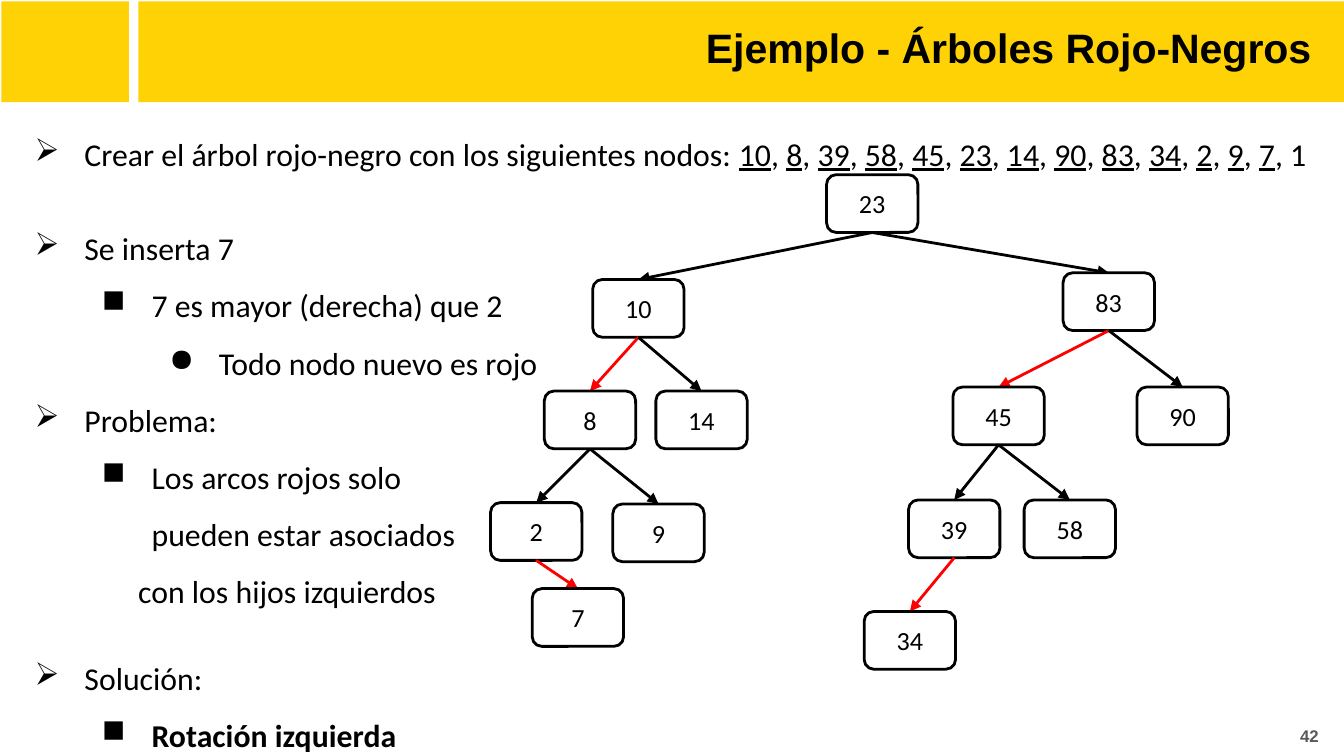
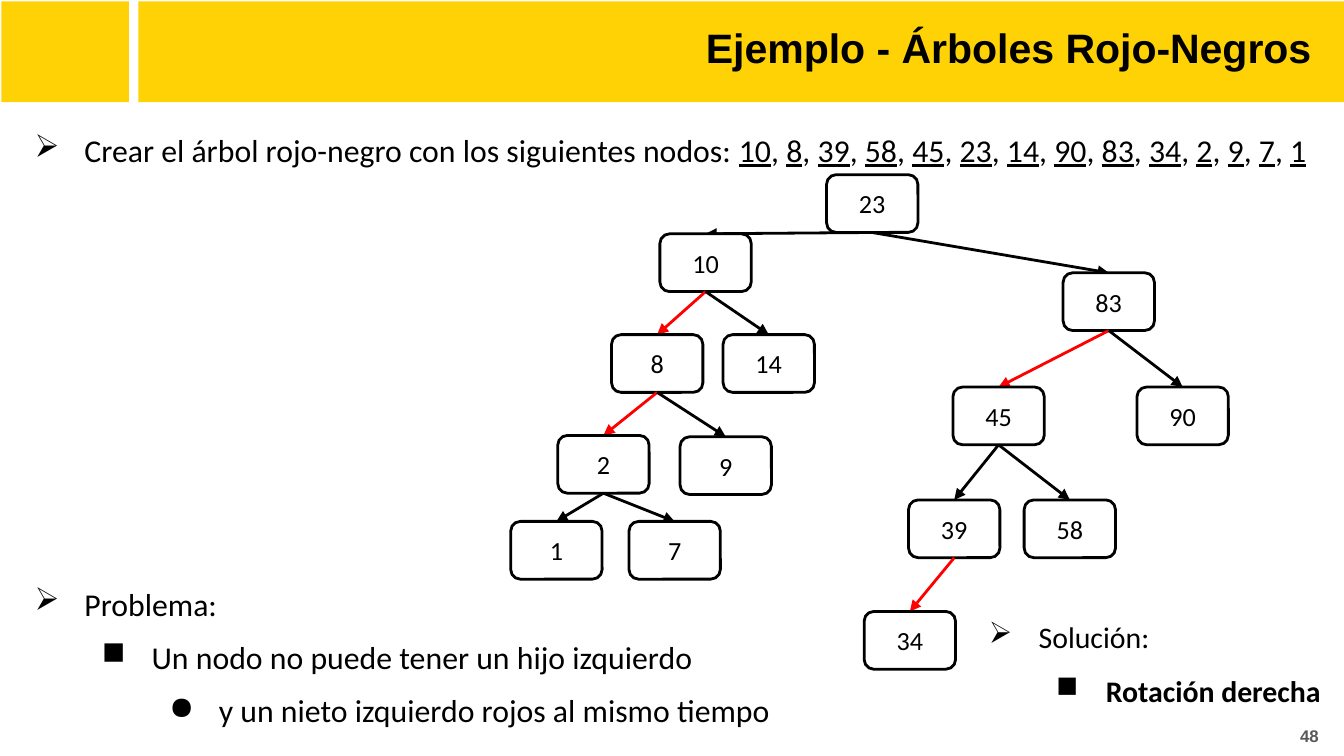
from dataclasses import dataclass

from lxml.etree import SubElement
from pptx import Presentation
from pptx.dml.color import RGBColor
from pptx.enum.shapes import MSO_CONNECTOR, MSO_SHAPE
from pptx.enum.text import MSO_ANCHOR, PP_ALIGN
from pptx.oxml.ns import qn
from pptx.shapes.autoshape import Shape
from pptx.slide import Slide
from pptx.text.text import TextFrame, _Paragraph
from pptx.util import Emu, Pt

# Shared look
EMU_PER_PX = 9144
YELLOW, BLACK, WHITE, RED, GREY = "FED205", "000000", "FFFFFF", "FF0000", "595959"
HEADING_FONT, BODY_FONT = "Arial", "Calibri"
PADDING = 10
NODE_WIDTH, NODE_HEIGHT = 68, 43
HEADING = "Ejemplo - Árboles Rojo-Negros"
STATEMENT = "Crear el árbol rojo-negro con los siguientes nodos: "
KEYS = (10, 8, 39, 58, 45, 23, 14, 90, 83, 34, 2, 9, 7, 1)


@dataclass(frozen=True)
class Box:
    left: int
    top: int
    width: int
    height: int


@dataclass(frozen=True)
class Level:
    depth: int
    margin: int
    indent: int = -37
    bullet: str = ""


@dataclass(frozen=True)
class Item:
    level: Level
    text: str
    bold: bool = False
    before: float = 0


@dataclass(frozen=True)
class Node:
    key: int
    left: int
    top: int
    children: tuple["Node", ...] = ()
    red: bool = False  # colour of the arc that arrives from the parent


@dataclass(frozen=True)
class Step:
    number: int
    inserted: int
    spacing: float
    items: tuple[Item, ...]
    solution: tuple[Item, ...]
    solution_box: Box
    solution_size: int
    root: Node


BANDS = (Box(103, 1, 897, 75), Box(1, 1, 95, 75))
HEADING_BOX = Box(108, 7, 886, 63)
BODY_BOX = Box(3, 76, 997, 486)
NUMBER_BOX = Box(947, 526, 44, 43)

TOPIC = Level(0, 50, bullet="➢")
DETAIL = Level(1, 100, bullet="■")
REMARK = Level(2, 150, bullet="●")
CONTINUED = Level(1, 90, indent=0)


# Helpers
def px(length: int) -> Emu:
    return Emu(length * EMU_PER_PX)


def color(code: str) -> RGBColor:
    return RGBColor.from_string(code)


def place(box: Box) -> tuple[Emu, Emu, Emu, Emu]:
    return px(box.left), px(box.top), px(box.width), px(box.height)


def set_font(paragraph: _Paragraph, name: str, size: int,
             code: str = BLACK, bold: bool = False) -> None:
    font = paragraph.font
    font.name, font.size, font.bold = name, Pt(size), bold
    font.color.rgb = color(code)


def set_frame(frame: TextFrame, anchor: MSO_ANCHOR = MSO_ANCHOR.TOP,
              right: int = PADDING, bottom: int = PADDING) -> None:
    frame.word_wrap = True
    frame.vertical_anchor = anchor
    frame.margin_left = frame.margin_top = px(PADDING)
    frame.margin_right, frame.margin_bottom = px(right), px(bottom)


def add_frame(slide: Slide, box: Box, anchor: MSO_ANCHOR = MSO_ANCHOR.TOP,
              right: int = PADDING, bottom: int = PADDING) -> TextFrame:
    frame = slide.shapes.add_textbox(*place(box)).text_frame
    set_frame(frame, anchor, right, bottom)
    return frame


def add_plain(slide: Slide, kind: MSO_SHAPE, box: Box, fill: str) -> Shape:
    shape = slide.shapes.add_shape(kind, *place(box))
    shape.shadow.inherit = False
    shape.fill.solid()
    shape.fill.fore_color.rgb = color(fill)
    shape.line.fill.background()
    return shape


# Bands, heading and slide number
def draw_common(slide: Slide, number: int) -> None:
    for band in BANDS:
        add_plain(slide, MSO_SHAPE.RECTANGLE, band, YELLOW)

    heading = add_frame(slide, HEADING_BOX, right=18).paragraphs[0]
    heading.text, heading.alignment = HEADING, PP_ALIGN.RIGHT
    set_font(heading, HEADING_FONT, 22, bold=True)

    footer = add_frame(slide, NUMBER_BOX, MSO_ANCHOR.MIDDLE).paragraphs[0]
    footer.text, footer.alignment = str(number), PP_ALIGN.RIGHT
    set_font(footer, HEADING_FONT, 9, GREY, bold=True)


# Bulleted text
def format_item(paragraph: _Paragraph, item: Item, size: int, spacing: float) -> None:
    level = item.level
    paragraph.level = level.depth
    paragraph.line_spacing = spacing
    paragraph.space_before = Pt(item.before)
    properties = paragraph._p.get_or_add_pPr()
    properties.set("marL", str(px(level.margin)))
    properties.set("indent", str(px(level.indent)))
    if level.bullet:
        bullet_color = SubElement(properties, qn("a:buClr"))
        SubElement(bullet_color, qn("a:srgbClr"), val=BLACK)
        SubElement(properties, qn("a:buChar"), char=level.bullet)
    set_font(paragraph, BODY_FONT, size, bold=item.bold)


def write_items(frame: TextFrame, items: tuple[Item, ...], size: int, spacing: float) -> None:
    for index, item in enumerate(items):
        paragraph = frame.add_paragraph() if index else frame.paragraphs[0]
        paragraph.text = item.text
        format_item(paragraph, item, size, spacing)


def underline_inserted(statement: _Paragraph, inserted: int) -> None:
    for index, key in enumerate(KEYS):
        if index:
            statement.add_run().text = ", "
        run = statement.add_run()
        run.text = str(key)
        if index < inserted:
            run.font.underline = True


# Tree
def draw_arc(slide: Slide, parent: Shape, child: Shape, code: str) -> None:
    arc = slide.shapes.add_connector(MSO_CONNECTOR.STRAIGHT, 0, 0, 0, 0)
    arc.begin_connect(parent, 2)
    arc.end_connect(child, 0)
    arc.line.color.rgb = color(code)
    arc.line.width = Pt(1.5)
    SubElement(arc.line._get_or_add_ln(), qn("a:tailEnd"), type="triangle")
    SubElement(arc._element.spPr, qn("a:effectLst"))
    child._element.addprevious(arc._element)  # the arc passes behind its child


def draw_tree(slide: Slide, node: Node) -> Shape:
    box = Box(node.left, node.top, NODE_WIDTH, NODE_HEIGHT)
    shape = add_plain(slide, MSO_SHAPE.ROUNDED_RECTANGLE, box, WHITE)
    shape.line.color.rgb = color(BLACK)
    shape.line.width = Pt(1.5)
    set_frame(shape.text_frame, MSO_ANCHOR.MIDDLE)
    label = shape.text_frame.paragraphs[0]
    label.text, label.alignment = str(node.key), PP_ALIGN.CENTER
    set_font(label, BODY_FONT, 14)
    for child in node.children:
        draw_arc(slide, shape, draw_tree(slide, child), RED if child.red else BLACK)
    return shape


# Content
RIGHT_SUBTREE = Node(83, 791, 203, (
    Node(45, 709, 288, (
        Node(39, 676, 372, (Node(34, 643, 455, red=True),)),
        Node(58, 762, 372),
    ), red=True),
    Node(90, 846, 288),
))

STEPS = (
    Step(
        number=42, inserted=13, spacing=1.5,
        items=(
            Item(TOPIC, STATEMENT),
            Item(TOPIC, "Se inserta 7", before=20),
            Item(DETAIL, "7 es mayor (derecha) que 2"),
            Item(REMARK, "Todo nodo nuevo es rojo"),
            Item(TOPIC, "Problema:"),
            Item(DETAIL, "Los arcos rojos solo\vpueden estar asociados"),
            Item(CONTINUED, "con los hijos izquierdos"),
        ),
        solution=(Item(TOPIC, "Solución:"), Item(DETAIL, "Rotación izquierda", bold=True)),
        solution_box=Box(3, 466, 328, 92), solution_size=17,
        root=Node(23, 615, 130, (
            Node(10, 441, 208, (
                Node(8, 405, 291, (
                    Node(2, 365, 374, (Node(7, 396, 438, red=True),)),
                    Node(9, 456, 375),
                ), red=True),
                Node(14, 488, 291),
            )),
            RIGHT_SUBTREE,
        )),
    ),
    Step(
        number=48, inserted=14, spacing=1.4,
        items=(
            Item(TOPIC, STATEMENT),
            Item(TOPIC, "Problema:", before=214.5),
            Item(DETAIL, "Un nodo no puede tener un hijo izquierdo"),
            Item(REMARK, "y un nieto izquierdo rojos al mismo tiempo"),
        ),
        solution=(Item(TOPIC, "Solución:"), Item(DETAIL, "Rotación derecha", bold=True)),
        solution_box=Box(713, 437, 292, 89), solution_size=16,
        root=Node(23, 615, 130, (
            Node(10, 491, 174, (
                Node(8, 455, 249, (
                    Node(2, 415, 324, (Node(1, 380, 388), Node(7, 468, 388)), red=True),
                    Node(9, 506, 325),
                ), red=True),
                Node(14, 538, 249),
            )),
            RIGHT_SUBTREE,
        )),
    ),
)


def main() -> None:
    deck = Presentation()
    deck.slide_width, deck.slide_height = Emu(9144000), Emu(5143500)
    for step in STEPS:
        slide = deck.slides.add_slide(deck.slide_layouts[6])
        draw_common(slide, step.number)
        body = add_frame(slide, BODY_BOX, bottom=2)
        write_items(body, step.items, 17, step.spacing)
        underline_inserted(body.paragraphs[0], step.inserted)
        draw_tree(slide, step.root)
        solution = add_frame(slide, step.solution_box)
        write_items(solution, step.solution, step.solution_size, 1.5)
    deck.save("out.pptx")


if __name__ == "__main__":
    main()
